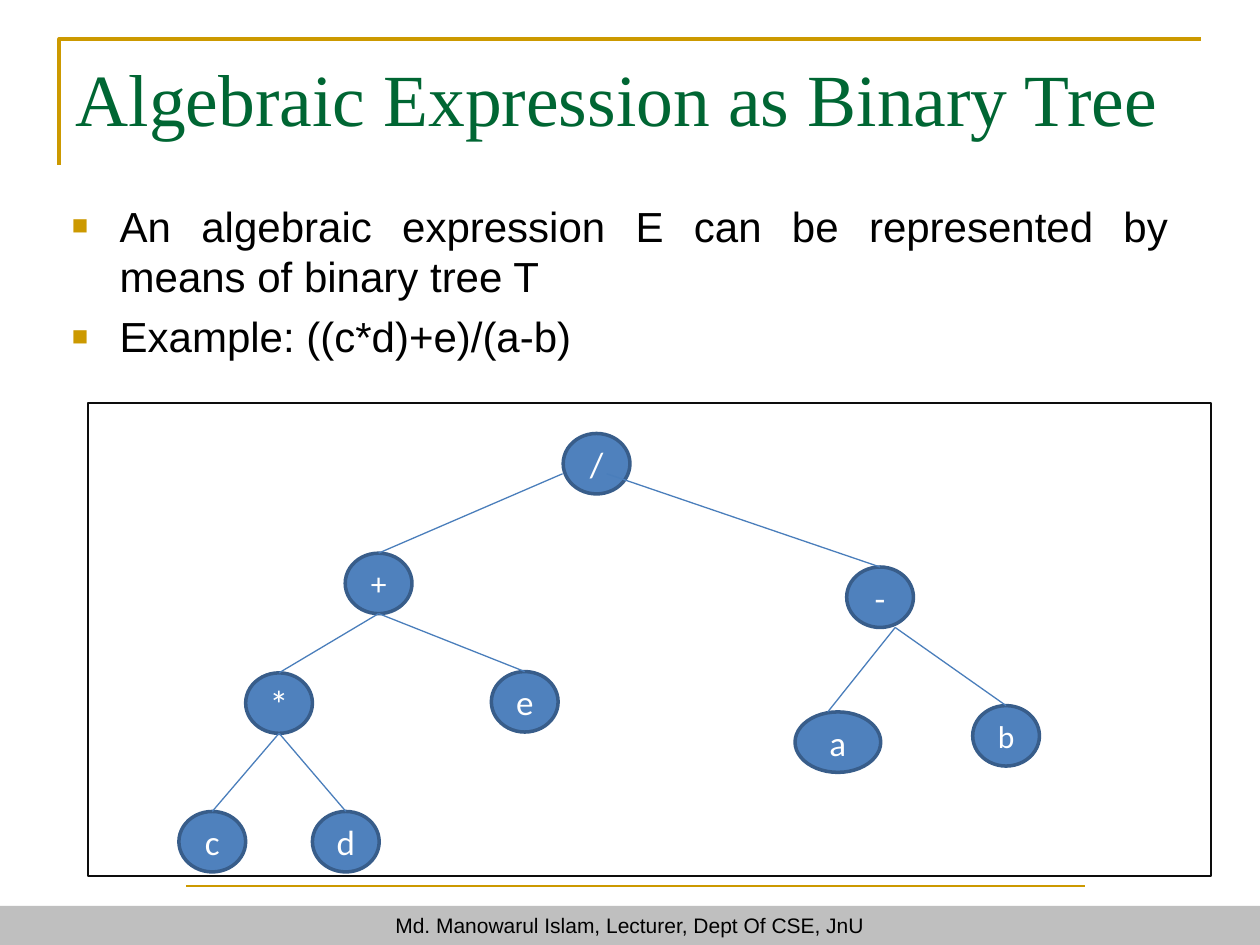
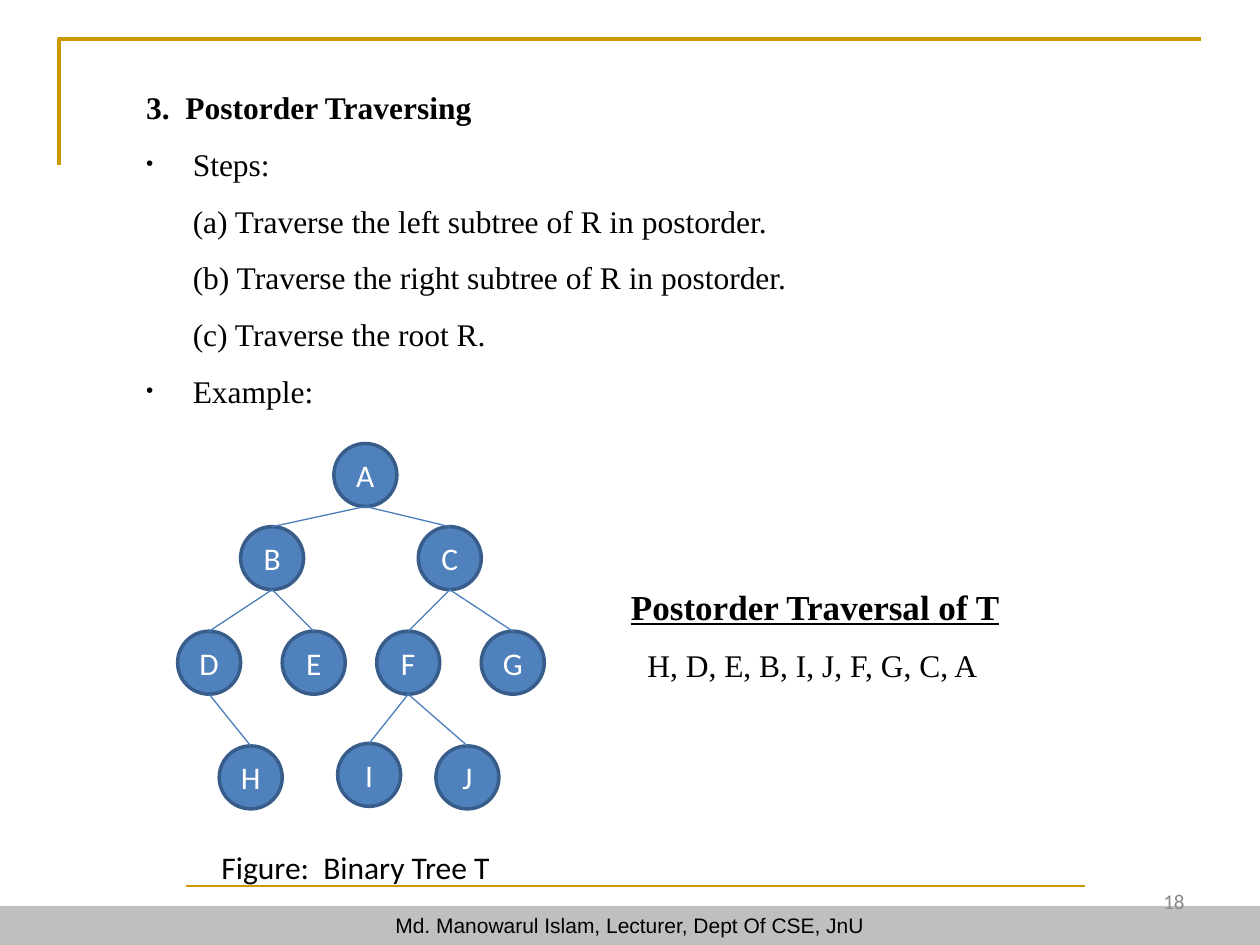
from lxml.etree import SubElement
from pptx import Presentation
from pptx.dml.color import RGBColor
from pptx.enum.shapes import MSO_CONNECTOR, MSO_SHAPE
from pptx.enum.text import MSO_ANCHOR, MSO_AUTO_SIZE, PP_ALIGN
from pptx.oxml.ns import qn
from pptx.util import Inches, Pt

GOLD, GREEN, BLACK, GREY = "CC9900", "006633", "000000", "898989"
BAND, NODE, RIM, EDGE, WHITE = "BFBFBF", "4F81BD", "385D8A", "4A7EBB", "FFFFFF"
SERIF, SANS, CALIBRI = "Times New Roman", "Arial", "Calibri"

FOOTER = "Md. Manowarul Islam, Lecturer, Dept Of CSE, JnU"

EXPRESSION_TITLE = "Algebraic Expression as Binary Tree"
EXPRESSION_POINTS = [
    "An algebraic expression E can be represented by means of binary tree T",
    "Example: ((c*d)+e)/(a-b)",
]
# name: (left, top, width, text size)
EXPRESSION_NODES = {
    "+": (2.74, 4.39, 0.53, 18),
    "-": (6.72, 4.5, 0.53, 20),
    "e": (3.9, 5.33, 0.53, 20),
    "*": (1.95, 5.34, 0.53, 22),
    "d": (2.48, 6.44, 0.53, 20),
    "c": (1.42, 6.44, 0.53, 20),
    "/": (4.47, 3.44, 0.53, 20),
    "a": (6.31, 5.65, 0.68, 20),
    "b": (7.72, 5.6, 0.53, 18),
}
EXPRESSION_EDGES = ["*c", "*d", "+*", "+e", "/+", "/-", "-a", "-b"]
# edge: (shift of start x, shift of start y, shift of end x)
EXPRESSION_SHIFTS = {
    "/+": (-0.27, -0.16, 0),
    "/-": (0.08, -0.16, 0),
    "-a": (0.12, 0, -0.08),
    "-b": (0.12, 0, 0),
}

POSTORDER_TITLE = "3.  Postorder Traversing"
POSTORDER_STEPS = [
    ("Steps:", True),
    ("(a) Traverse the left subtree of R in postorder.", False),
    ("(b) Traverse the right subtree of R in postorder.", False),
    ("(c) Traverse the root R.", False),
    ("Example:", True),
]
POSTORDER_NODES = {
    name: (left, top, 0.5, 18) for name, left, top in [
        ("A", 2.65, 3.52), ("B", 1.91, 4.18), ("C", 3.32, 4.18),
        ("D", 1.41, 5.01), ("E", 2.24, 5.01), ("F", 2.99, 5.01),
        ("G", 3.82, 5.01), ("H", 1.74, 5.92), ("I", 2.68, 5.9),
        ("J", 3.46, 5.92)]
}
POSTORDER_EDGES = ["AB", "AC", "BE", "BD", "CG", "CF", "DH", "FI", "FJ"]
RESULT_TITLE = "Postorder Traversal of T"
RESULT = "H, D, E, B, I, J, F, G, C, A"
CAPTION = "Figure:  Binary Tree T"
PAGE = "18"


def rgb(value):
    """Turn a hex string into a colour."""
    return RGBColor.from_string(value)


def place(sp, left, top, width, height):
    """Move and size a shape, in inches."""
    sp.left, sp.top = Inches(left), Inches(top)
    sp.width, sp.height = Inches(width), Inches(height)


def frame(sp, anchor=MSO_ANCHOR.TOP, top=0.05, wrap=True):
    """Set the margins and anchor of a text frame and return it."""
    tf = sp.text_frame
    tf.auto_size, tf.word_wrap = MSO_AUTO_SIZE.NONE, wrap
    tf.vertical_anchor = anchor
    tf.margin_left = tf.margin_right = Inches(0.1)
    tf.margin_top, tf.margin_bottom = Inches(top), Inches(0.05)
    return tf


def write(tf, text, size, font, color=BLACK, align=PP_ALIGN.LEFT, bold=False,
          underline=False, pitch=None, before=0, margin=0, hang=0, bullet=None):
    """Add one paragraph; bullet is a (character, colour) pair."""
    p = tf.paragraphs[0]
    first = not p.runs
    if not first:
        p = tf.add_paragraph()
    pPr = p._p.get_or_add_pPr()
    pPr.set("marL", str(Inches(margin)))
    pPr.set("indent", str(-Inches(hang)))
    p.alignment = align
    p.space_before = Pt(0 if first else before)
    if pitch:
        p.line_spacing = Pt(pitch)
    if bullet:
        char, tint = bullet
        SubElement(SubElement(pPr, qn("a:buClr")), qn("a:srgbClr")).set("val", tint)
        SubElement(pPr, qn("a:buSzPct")).set("val", "65000")
        SubElement(pPr, qn("a:buFont")).set("typeface", SANS)
        SubElement(pPr, qn("a:buChar")).set("char", char)
    else:
        SubElement(pPr, qn("a:buNone"))
    r = p.add_run()
    r.text = text
    r.font.name, r.font.size = font, Pt(size)
    r.font.bold, r.font.underline = bold, underline
    r.font.color.rgb = rgb(color)


def add_text(s, box, **kw):
    """Add an empty text box and return its frame."""
    return frame(s.shapes.add_textbox(*map(Inches, box)), **kw)


def add_shape(shapes, kind, box, fill=None, line=None, width=1):
    """Add a preset shape with plain fill and line."""
    sp = shapes.add_shape(kind, *map(Inches, box))
    sp.shadow.inherit = False
    if fill:
        sp.fill.solid()
        sp.fill.fore_color.rgb = rgb(fill)
    else:
        sp.fill.background()
    if line:
        sp.line.color.rgb, sp.line.width = rgb(line), Pt(width)
    else:
        sp.line.fill.background()
    return sp


def add_line(shapes, start, end, color, width):
    """Add a straight connector without a shadow."""
    cx = shapes.add_connector(MSO_CONNECTOR.STRAIGHT, *map(Inches, start + end))
    cx.line.color.rgb, cx.line.width = rgb(color), Pt(width)
    SubElement(cx._element.spPr, qn("a:effectLst"))


def add_tree(s, nodes, edges, height, shifts={}):
    """Draw the nodes, then join each parent's bottom to its child's top."""
    shapes = s.shapes.add_group_shape().shapes
    for name, (left, top, width, size) in nodes.items():
        sp = add_shape(shapes, MSO_SHAPE.OVAL, (left, top, width, height), NODE, RIM, 2)
        tf = frame(sp, MSO_ANCHOR.MIDDLE, wrap=False)
        write(tf, name, size, CALIBRI, WHITE, PP_ALIGN.CENTER)
    for edge in edges:
        (px, py, pw, _), (cx, cy, cw, _) = (nodes[name] for name in edge)
        dx, dy, end_dx = shifts.get(edge, (0, 0, 0))
        add_line(shapes, (px + pw / 2 + dx, py + height + dy),
                 (cx + cw / 2 + end_dx, cy), EDGE, 0.75)


def add_slide(prs):
    """Add a slide with the corner rule, the footer rule and the footer band."""
    s = prs.slides.add_slide(prs.slide_layouts[1])
    add_line(s.shapes, (1.48, 7.03), (8.61, 7.03), GOLD, 1)
    band = add_shape(s.shapes, MSO_SHAPE.RECTANGLE, (0, 7.19, 10, 0.31), BAND)
    write(frame(band), FOOTER, 12, SANS, align=PP_ALIGN.CENTER)
    fb = s.shapes.build_freeform(Inches(0.47), Inches(1.31))
    fb.add_line_segments([(Inches(0.47), Inches(0.31)), (Inches(9.53), Inches(0.31))],
                         close=False)
    corner = fb.convert_to_shape()
    corner.shadow.inherit = False
    corner.fill.background()
    corner.line.color.rgb, corner.line.width = rgb(GOLD), Pt(2)
    return s


def expression_slide(prs):
    """Build the slide on expressions as trees."""
    s = add_slide(prs)
    title, body = s.placeholders
    place(title, 0.5, 0.3, 9, 1.25)
    write(frame(title, top=0.12), EXPRESSION_TITLE, 42, SERIF, GREEN)
    place(body, 0.47, 1.54, 8.9, 2.44)
    tf = frame(body)
    for text in EXPRESSION_POINTS:
        write(tf, text, 24, SANS, align=PP_ALIGN.JUSTIFY, pitch=28.6, before=6,
              margin=0.38, hang=0.38, bullet=("■", GOLD))
    add_shape(s.shapes, MSO_SHAPE.RECTANGLE, (0.7, 3.2, 8.91, 3.75), line="0D0D0D")
    add_tree(s, EXPRESSION_NODES, EXPRESSION_EDGES, 0.48, EXPRESSION_SHIFTS)


def postorder_slide(prs):
    """Build the slide on postorder traversal."""
    s = add_slide(prs)
    title, body = s.placeholders
    place(title, 1.06, 0.5, 8.23, 0.45)
    write(frame(title), POSTORDER_TITLE, 18, SERIF, bold=True, pitch=32.4)
    place(body, 1.06, 0.95, 8.23, 2.8)
    tf = frame(body)
    for text, bulleted in POSTORDER_STEPS:
        write(tf, text, 18, SERIF, pitch=32.4, margin=0.37,
              hang=0.37 if bulleted else 0, bullet=("•", BLACK) if bulleted else None)
    add_tree(s, POSTORDER_NODES, POSTORDER_EDGES, 0.5)
    tf = add_text(s, (4.91, 4.43, 4, 1.05))
    write(tf, RESULT_TITLE, 20, SERIF, bold=True, underline=True, pitch=36)
    write(tf, RESULT, 18, SERIF, pitch=32.4, margin=0.13)
    write(add_text(s, (1.66, 6.68, 4.5, 0.4)), CAPTION, 18, CALIBRI)
    tf = add_text(s, (7.17, 6.95, 2.33, 0.4), anchor=MSO_ANCHOR.MIDDLE)
    write(tf, PAGE, 12, CALIBRI, GREY, PP_ALIGN.RIGHT)


def main():
    """Build and save the presentation."""
    prs = Presentation()
    prs.slide_width, prs.slide_height = Inches(10), Inches(7.5)
    expression_slide(prs)
    postorder_slide(prs)
    prs.save("out.pptx")


if __name__ == "__main__":
    main()
